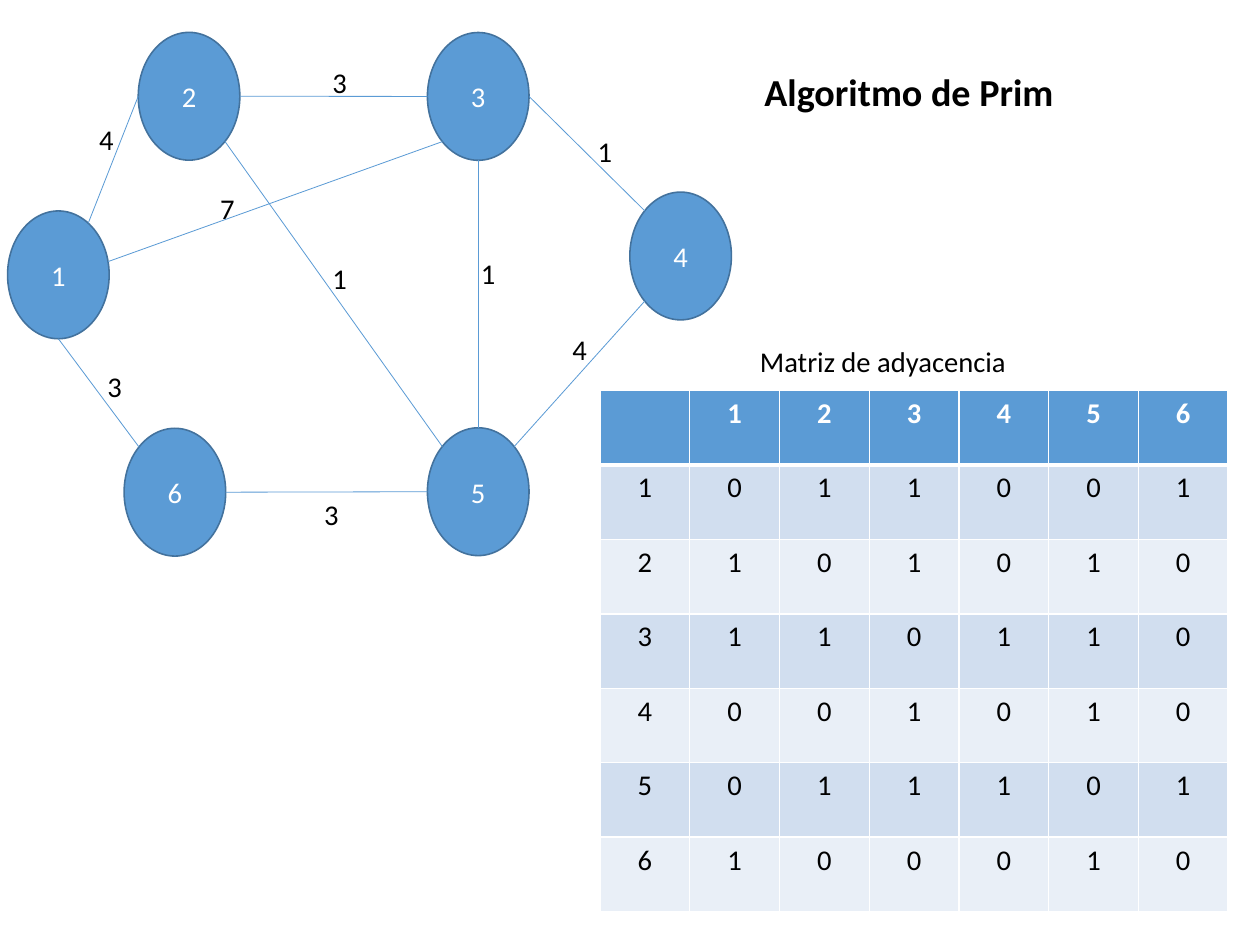
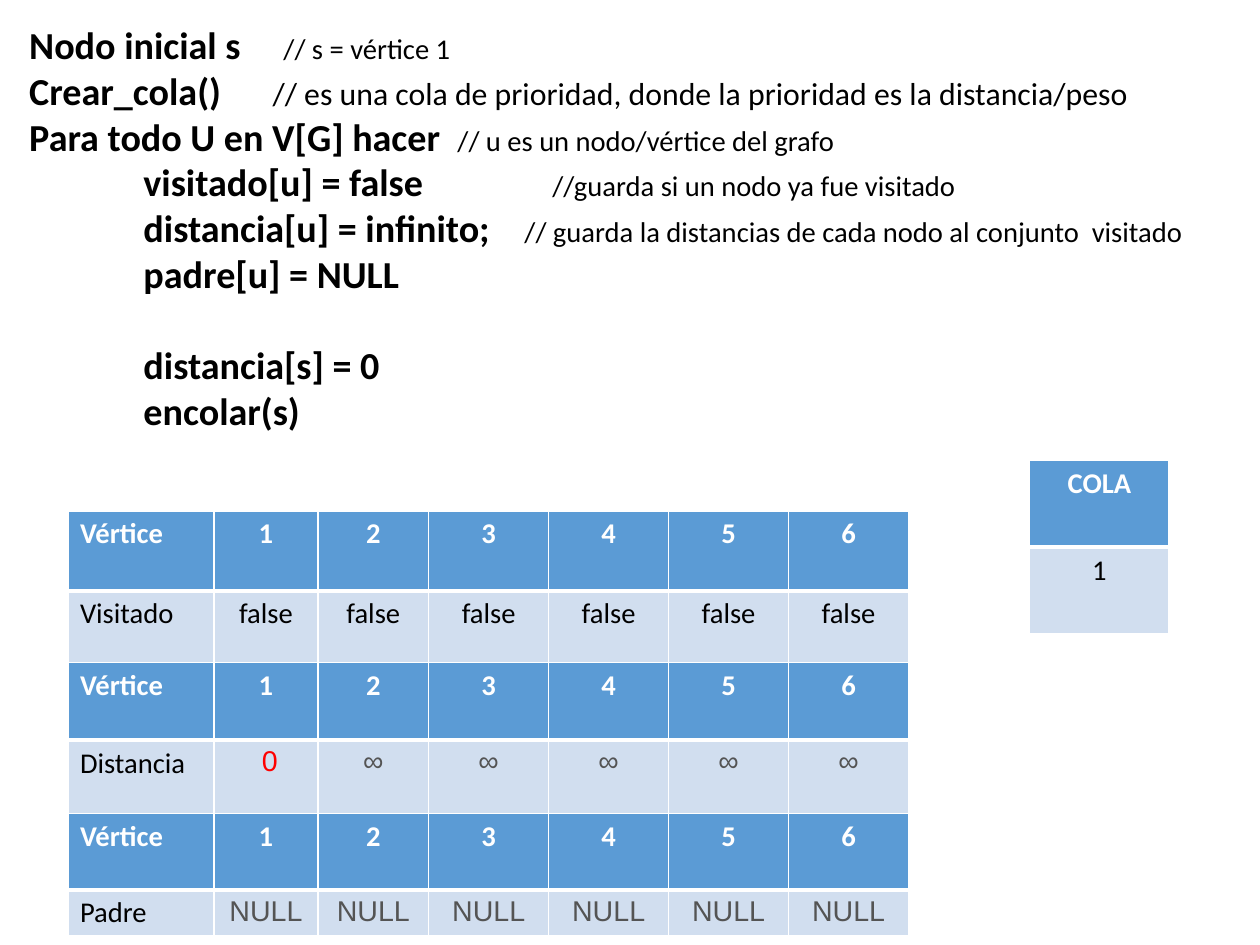
from math import cos, radians, sin

from lxml.etree import SubElement
from pptx import Presentation
from pptx.dml.color import RGBColor
from pptx.enum.shapes import MSO_CONNECTOR as CONNECTOR, MSO_SHAPE as SHAPE
from pptx.enum.text import MSO_ANCHOR as ANCHOR, MSO_AUTO_SIZE as AUTO_SIZE, PP_ALIGN as ALIGN
from pptx.oxml.ns import qn
from pptx.util import Pt

COLORS = {
    "accent": "5B9BD5", "rim": "43729D", "white": "FFFFFF", "text": "000000",
    "band": "D1DEEF", "light_band": "E9EFF7", "muted": "545454", "alert": "FF0000",
}
NODE_W, NODE_H = 64, 80.5
NODES = {
    "2": (87.1, 20.4), "3": (269.3, 20.5), "6": (78.2, 269.8),
    "5": (269.3, 269.5), "4": (396.8, 121), "1": (4.8, 132.9),
}
EDGES = [
    ("1", 54, "2", 180, "4", (55.4, 73.4)),
    ("2", 0, "3", 180, "3", (202.3, 37.4)),
    ("3", 0, "4", 135, "1", (369.4, 80.6)),
    ("4", 225, "5", 45, "4", (353.5, 205.6)),
    ("5", 180, "6", 0, "3", (197.1, 309.6)),
    ("6", 135, "1", 270, "3", (60.5, 228.7)),
    ("3", 270, "5", 90, "1", (295.9, 157.7)),
    ("5", 135, "2", 315, "1", (202.3, 161)),
    ("3", 225, "1", 12, "7", (131.6, 116.6)),
]
VERTICES = list("123456")
ADJACENCY = ["011001", "101010", "110110", "001010", "011101", "100010"]
STATE_WIDTHS = [91.6, 65.5, 69.8] + [75.6] * 4
VALUE_STYLE = {"font": "Arial", "color": "muted"}
STATES = [
    (321.8, [50.4, 50.4], "Visitado", ["false"] * 6, {}),
    (417.3, [49, 49], "Distancia", [(" 0", {"color": "alert"})] + ["∞"] * 5, VALUE_STYLE),
    (512.4, [48.2, 28.8], "Padre", ["NULL"] * 6, VALUE_STYLE),
]
PSEUDOCODE = [
    ("Nodo inicial s", "// s = vértice 1", 18, [160.2], 0),
    ("Crear_cola()", "// es una cola de prioridad, donde la prioridad es la distancia/peso", 20, [153.3], 0),
    ("Para todo U en V[G] hacer", "// u es un nodo/vértice del grafo", 18, [269.8], 0),
    ("\tvisitado[u] = false", "//guarda si un nodo ya fue visitado", 18, [72, 329.6], 0),
    ("\tdistancia[u] = infinito;", "// guarda la distancias de cada nodo al conjunto  visitado", 18, [72, 312], 0),
    ("\tpadre[u] = NULL", "", 18, [72], 0),
    ("\tdistancia[s] = 0", "", 18, [72], 29),
    ("\tencolar(s)", "", 18, [72], 0),
]


def rgb(name):
    return RGBColor.from_string(COLORS[name])


def add_run(paragraph, text, size=18, font="Calibri", color="text", bold=False, align=None):
    run = paragraph.add_run()
    run.text = text
    run.font.size = Pt(size)
    run.font.name = font
    run.font.bold = bold
    run.font.color.rgb = rgb(color)
    if align is not None:
        paragraph.alignment = align


def add_label(slide, box, text, **style):
    label = slide.shapes.add_textbox(*map(Pt, box)).text_frame
    label.word_wrap = False
    label.auto_size = AUTO_SIZE.SHAPE_TO_FIT_TEXT
    add_run(label.paragraphs[0], text, **style)


def set_borders(cell, top, bottom):
    properties = cell._tc.get_or_add_tcPr()
    for side, width in zip("LRTB", (0.96, 0.96, top, bottom)):
        border = SubElement(properties, qn(f"a:ln{side}"), w=str(int(Pt(width))))
        SubElement(SubElement(border, qn("a:solidFill")), qn("a:srgbClr"), val=COLORS["white"])


def add_data_table(slide, left, top, widths, heights, rows, label_align=ALIGN.CENTER, value_style=None):
    box = map(Pt, (left, top, sum(widths), sum(heights)))
    table = slide.shapes.add_table(len(rows), len(widths), *box).table
    for column, width in zip(table.columns, widths):
        column.width = Pt(width)
    for r, (row, height) in enumerate(zip(rows, heights)):
        table.rows[r].height = Pt(height)
        fill = "accent" if r == 0 else ("light_band", "band")[r % 2]
        for c, content in enumerate(row):
            text, own_style = content if isinstance(content, tuple) else (content, {})
            style = {"align": ALIGN.CENTER if c else label_align}
            if r == 0:
                style.update(color="white", bold=True)
            elif c:
                style.update(value_style or {})
            cell = table.cell(r, c)
            set_borders(cell, 3 if r == 1 else 0.96, 3 if r == 0 else 0.96)
            cell.fill.solid()
            cell.fill.fore_color.rgb = rgb(fill)
            if text:
                add_run(cell.text_frame.paragraphs[0], text, **{**style, **own_style})


def rim_point(left, top, angle):
    turn = radians(angle)
    return (Pt(left + NODE_W / 2 * (1 + cos(turn))), Pt(top + NODE_H / 2 * (1 - sin(turn))))


def add_node(slide, left, top, number):
    node = slide.shapes.add_shape(SHAPE.OVAL, Pt(left), Pt(top), Pt(NODE_W), Pt(NODE_H))
    node.shadow.inherit = False
    node.fill.solid()
    node.fill.fore_color.rgb = rgb("accent")
    node.line.color.rgb = rgb("rim")
    node.line.width = Pt(1)
    node.text_frame.vertical_anchor = ANCHOR.MIDDLE
    add_run(node.text_frame.paragraphs[0], number, color="white", align=ALIGN.CENTER)


def add_edge(slide, start, end):
    edge = slide.shapes.add_connector(CONNECTOR.STRAIGHT, *start, *end)
    edge.line.color.rgb = rgb("accent")
    edge.line.width = Pt(0.5)
    SubElement(edge._element.spPr, qn("a:effectLst"))


def add_graph(slide, left, top):
    places = {number: (left + x, top + y) for number, (x, y) in NODES.items()}
    for number, place in places.items():
        add_node(slide, *place, number)
    for source, source_angle, target, target_angle, weight, (x, y) in EDGES:
        add_edge(slide, rim_point(*places[source], source_angle), rim_point(*places[target], target_angle))
        add_label(slide, (left + x, top + y, 23, 28.8), weight)


def add_pseudocode(slide, box):
    code = slide.shapes.add_textbox(*map(Pt, box)).text_frame
    code.word_wrap = True
    for i, (statement, remark, remark_size, stops, gap) in enumerate(PSEUDOCODE):
        line = code.add_paragraph() if i else code.paragraphs[0]
        line.space_before = Pt(gap)
        tabs = SubElement(line._p.get_or_add_pPr(), qn("a:tabLst"))
        for stop in stops:
            SubElement(tabs, qn("a:tab"), pos=str(int(Pt(stop))), algn="l")
        add_run(line, statement, size=24, bold=True)
        if remark:
            add_run(line, "\t" + remark, size=remark_size)


def build_graph_slide(slide):
    matrix = [[""] + VERTICES] + [[v, *links] for v, links in zip(VERTICES, ADJACENCY)]
    add_data_table(slide, 378, 246, [56.55] * 7, [46.9] * 7, matrix)
    add_graph(slide, 0, 0)
    add_label(slide, (471.6, 213.1, 169.2, 28.8), "Matriz de adyacencia")
    add_label(slide, (474.5, 39.6, 196.6, 36), "Algoritmo de Prim", size=24, bold=True)


def build_start_slide(slide):
    add_pseudocode(slide, (11.3, 10, 776.9, 266.4))
    for top, heights, label, values, value_style in STATES:
        rows = [["Vértice"] + VERTICES, [label] + values]
        add_data_table(slide, 43.2, top, STATE_WIDTHS, heights, rows, ALIGN.LEFT, value_style)
    add_data_table(slide, 648.7, 290, [87.8], [54.7, 54.7], [["COLA"], ["1"]])


def main():
    deck = Presentation()
    deck.slide_width, deck.slide_height = Pt(793.75), Pt(595.25)
    for build in (build_graph_slide, build_start_slide):
        build(deck.slides.add_slide(deck.slide_layouts[6]))
    deck.save("out.pptx")


if __name__ == "__main__":
    main()
